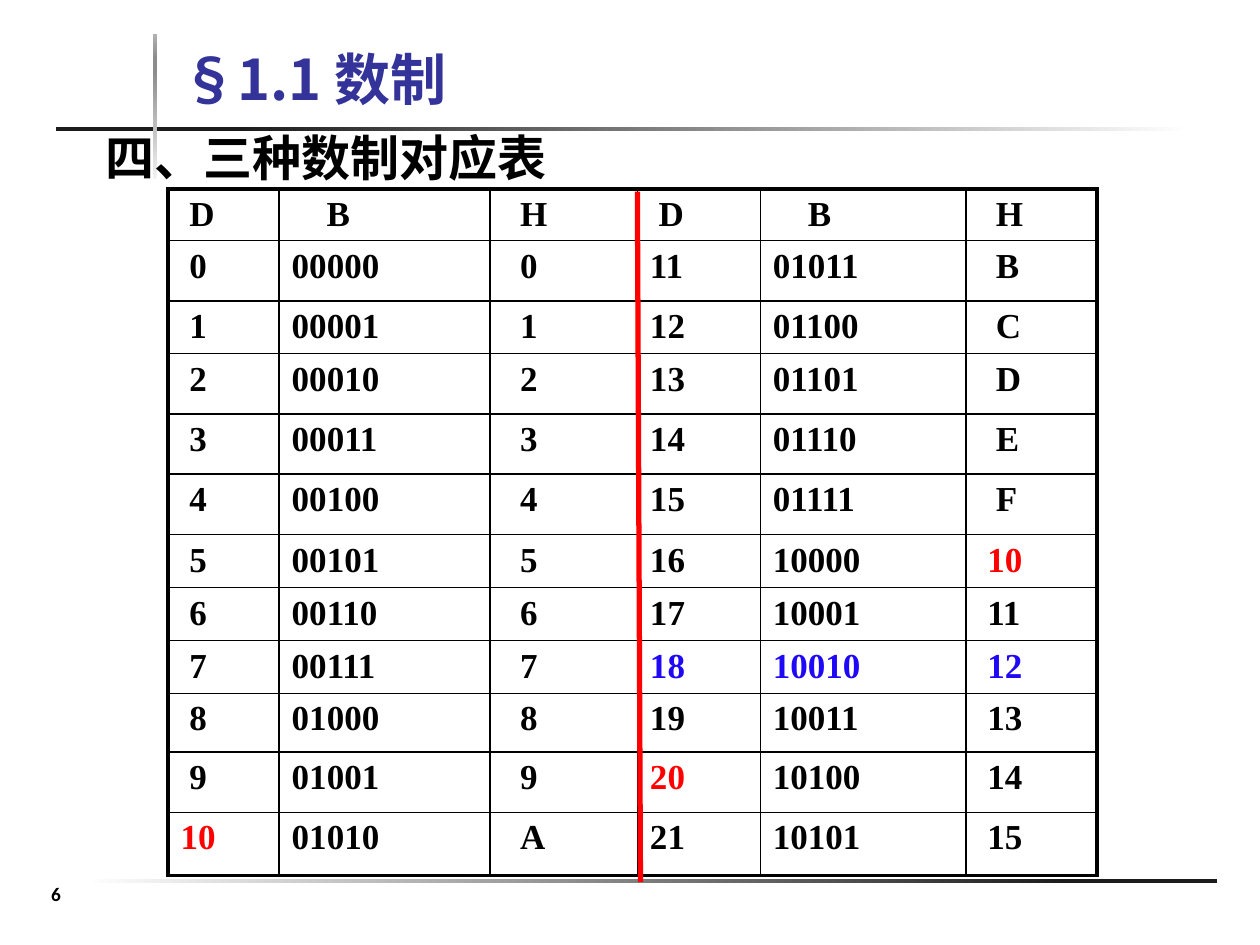
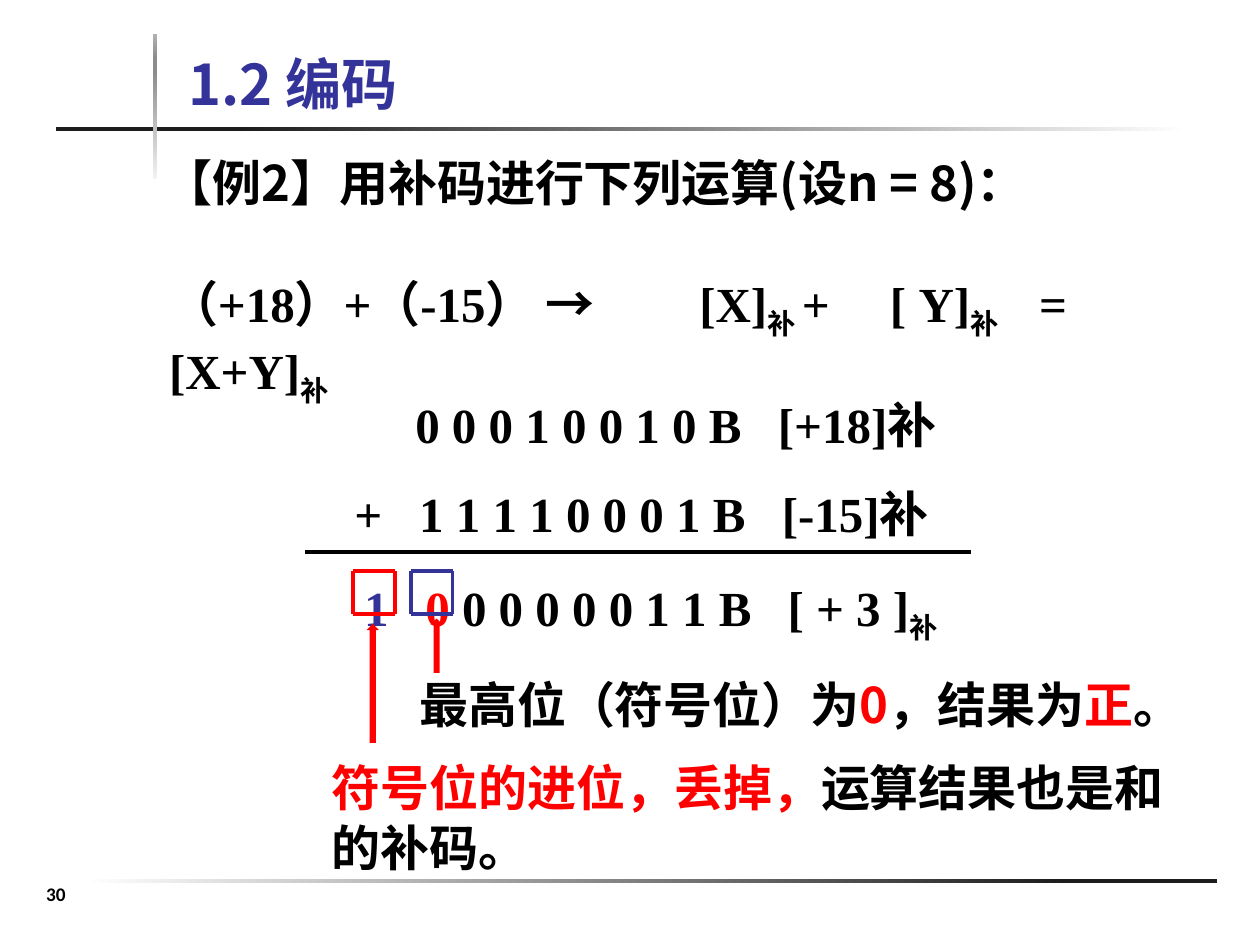
from lxml.etree import SubElement
from pptx import Presentation
from pptx.dml.color import RGBColor
from pptx.enum.shapes import MSO_CONNECTOR, MSO_SHAPE
from pptx.enum.text import MSO_ANCHOR, PP_ALIGN
from pptx.oxml.ns import qn
from pptx.util import Pt

COLORS = {
    "black": "000000", "white": "FFFFFF", "title": "333399", "red": "FF0000",
    "blue": "1F08F8", "ink": "1C1C1C", "pale": "F2F2F2", "grey": "8C8C8C",
    "silver": "B2B2B2",
}
SANS, SERIF = "Noto Sans CJK SC", "Times New Roman"
NOTE_SPACING = 34


def rgb(name):
    return RGBColor.from_string(COLORS[name])


def add_run(paragraph, text, color="black", size=28, font=SANS, bold=True, subscript=False):
    run = paragraph.add_run()
    run.text = text
    run.font.size = Pt(size)
    run.font.bold = bold
    run.font.color.rgb = rgb(color)
    run.font.name = font
    properties = run.font._element
    SubElement(properties, qn("a:ea")).set("typeface", SANS)
    if subscript:
        properties.set("baseline", "-25000")


def add_tabs(paragraph, stops):
    tab_list = SubElement(paragraph._p.get_or_add_pPr(), qn("a:tabLst"))
    for stop in stops:
        SubElement(tab_list, qn("a:tab"), pos=str(Pt(stop)), algn="l")


def add_text_frame(slide, box, anchor=MSO_ANCHOR.TOP):
    frame = slide.shapes.add_textbox(*map(Pt, box)).text_frame
    frame.word_wrap = True
    frame.vertical_anchor = anchor
    return frame


def add_note(slide, box, runs):
    """One paragraph from (text, color, font) runs."""
    paragraph = add_text_frame(slide, box).paragraphs[0]
    paragraph.line_spacing = Pt(NOTE_SPACING)
    for text, color, font in runs:
        add_run(paragraph, text, color, font=font)


def add_line(slide, start, end, color, width):
    line = slide.shapes.add_connector(
        MSO_CONNECTOR.STRAIGHT, *map(Pt, start + end))
    line.line.color.rgb = rgb(color)
    line.line.width = Pt(width)
    SubElement(line._element.spPr, qn("a:effectLst"))


def add_plain_shape(slide, kind, box):
    shape = slide.shapes.add_shape(kind, *map(Pt, box))
    shape.shadow.inherit = False
    shape.line.fill.background()
    return shape


def add_gradient_bar(slide, box, stops, angle):
    bar = add_plain_shape(slide, MSO_SHAPE.RECTANGLE, box)
    bar.fill.gradient()
    bar.fill.gradient_angle = 0
    gradient = bar._element.spPr.find(qn("a:gradFill"))
    stop_list = gradient.find(qn("a:gsLst"))
    for stop in list(stop_list):
        stop_list.remove(stop)
    for position, color in stops:
        stop = SubElement(stop_list, qn("a:gs"), pos=str(position * 1000))
        SubElement(stop, qn("a:srgbClr"), val=COLORS[color])
    gradient.find(qn("a:lin")).set("ang", str(angle * 60000))


def add_base_slide(presentation, title, title_box, number):
    """Rules, title and page number shared by every slide."""
    slide = presentation.slides.add_slide(presentation.slide_layouts[6])
    add_gradient_bar(slide, (47.5, 502.25, 648, 2.25), [(0, "white"), (87, "ink")], 0)
    add_gradient_bar(slide, (32, 72.5, 648, 2.25), [(16, "ink"), (100, "white")], 0)
    add_gradient_bar(slide, (87.25, 19.5, 2.25, 83),
                     [(0, "pale"), (74, "grey"), (83, "grey"), (100, "silver")], 270)
    frame = add_text_frame(slide, title_box, MSO_ANCHOR.BOTTOM)
    add_run(frame.paragraphs[0], title, "title", 32)
    paragraph = add_text_frame(slide, (0, 500.5, 64, 27)).paragraphs[0]
    paragraph.alignment = PP_ALIGN.CENTER
    add_run(paragraph, number, size=11, font="Calibri")
    return slide


def set_borders(cell, widths):
    properties = cell._tc.get_or_add_tcPr()
    for side, width in zip("LRTB", widths):
        border = SubElement(properties, qn(f"a:ln{side}"), w=str(Pt(width)))
        fill = SubElement(border, qn("a:solidFill"))
        SubElement(fill, qn("a:srgbClr"), val=COLORS["black"])


def add_number_table(slide, left, top):
    """Decimal, binary and hexadecimal: 0-10 on the left, 11-21 on the right."""
    column_widths = [63.5, 120.5, 84.25, 70.25, 117.5, 75]
    row_heights = [29.5, 34.5, 30, 34.5, 34.5, 34.5,
                   30.25, 30.25, 30.25, 33.5, 34.5, 36]
    highlights = {(6, 5): "red", (10, 3): "red", (11, 0): "red",
                  (8, 3): "blue", (8, 4): "blue", (8, 5): "blue"}
    digit_places = (2, 5, 3)

    def numerals(number):
        return [str(number), f"{number:05b}", f"{number:X}"]

    rows = [["D", "B", "H"] * 2]
    rows += [numerals(number) + numerals(number + 11) for number in range(11)]
    last_row, last_column = len(rows) - 1, len(column_widths) - 1

    table = slide.shapes.add_table(
        len(rows), len(column_widths), Pt(left), Pt(top),
        Pt(sum(column_widths)), Pt(sum(row_heights))).table
    table.first_row = table.horz_banding = False
    for column, width in zip(table.columns, column_widths):
        column.width = Pt(width)
    for row, height in zip(table.rows, row_heights):
        row.height = Pt(height)

    for r, row in enumerate(rows):
        for c, text in enumerate(row):
            cell = table.cell(r, c)
            # Shorter numerals start further in, one space per missing place
            cell.margin_left = Pt(7.2 + 5 * (digit_places[c % 3] - len(text)))
            cell.margin_bottom = Pt(1)
            outer_edges = (c == 0, c == last_column, r == 0, r == last_row)
            set_borders(cell, [2.25 if outer else 1 for outer in outer_edges])
            cell.fill.background()
            add_run(cell.text_frame.paragraphs[0], text,
                    highlights.get((r, c), "black"), 20, SERIF)

    # Divider between the two halves
    middle = left + sum(column_widths[:3])
    add_line(slide, (middle, top + 1.5), (middle + 1.75, top + 396), "red", 3)


def add_equation(slide, box):
    paragraph = add_text_frame(slide, box).paragraphs[0]
    add_tabs(paragraph, (303, 412, 497.25))
    paragraph.line_spacing = Pt(38.5)
    for text, subscript in [("（+18）+（-15） →\t[X]", False), ("补 ", True),
                            ("+\t[ Y]", False), ("补", True),
                            ("\t= [X+Y]", False), ("补", True)]:
        add_run(paragraph, text, font=SERIF, subscript=subscript)


def add_bit_frame(slide, left, top, width, height, color):
    """Four lines around one bit."""
    right, bottom = left + width, top + height
    corners = [(left, top), (right, top), (right, bottom), (left, bottom)]
    for start, end in zip(corners, corners[1:] + corners[:1]):
        add_line(slide, start, end, color, 2.25)


def add_binary_sum(slide, box):
    """Column addition with its rule, framed bits and arrows."""
    left, top = box[:2]
    rows = [
        ((143.25, 350.5), 0, [("\t0 0 0 1 0 0 1 0 B\t[+18]补", "black", False)]),
        ((108.5, 145.5, 352.75), 0,
         [("\t+\t1 1 1 1 0 0 0 1 B\t[-15]补", "black", False)]),
        ((114, 149, 356), 7, [
            ("\t1\t", "title", False), ("0 ", "red", False),
            ("0 0 0 0 0 1 1 B\t[ + 3 ]", "black", False), ("补", "black", True)]),
    ]
    frame = add_text_frame(slide, box)
    for index, (stops, space_before, runs) in enumerate(rows):
        paragraph = frame.add_paragraph() if index else frame.paragraphs[0]
        add_tabs(paragraph, stops)
        paragraph.line_spacing = Pt(51)
        if space_before:
            paragraph.space_before = Pt(space_before)
        for text, color, subscript in runs:
            add_run(paragraph, text, color, font=SERIF, subscript=subscript)

    # Rule above the result
    add_line(slide, (left + 87.25, top + 111), (left + 468, top + 111), "black", 2.25)

    # Frames for the carry and the sign bit
    for offset, color in ((114.6, "red"), (147.6, "title")):
        add_bit_frame(slide, left + offset, top + 122, 24, 24.5, color)

    # Arrows from the two remarks
    for offset, drop, height in ((159, 149, 31), (122.5, 152, 68)):
        arrow = add_plain_shape(
            slide, MSO_SHAPE.UP_ARROW, (left + offset, top + drop, 7, height))
        arrow.fill.solid()
        arrow.fill.fore_color.rgb = rgb("red")


def build_number_systems(presentation):
    slide = add_base_slide(presentation, "§1.1 数制", (96.5, 19.5, 358, 48), "6")
    add_number_table(slide, 96, 108)
    add_note(slide, (53.5, 69, 451, 41),
             [("四、", "black", SANS), ("三种数制对应表", "black", "Cabin")])


def build_complement_example(presentation):
    slide = add_base_slide(presentation, "1.2 编码", (100.5, 24.5, 548, 46), "30")
    add_note(slide, (86.5, 83, 618, 41),
             [("【", "black", SERIF), ("例2", "black", SANS), ("】", "black", SERIF),
              ("用补码进行下列运算(设n = 8)：", "black", SANS)])
    add_equation(slide, (89.5, 152.25, 591, 82))
    add_binary_sum(slide, (87, 204.5, 571, 167))
    add_note(slide, (232.5, 381.5, 450, 38),
             [("最高位（符号位）为", "black", SANS), ("0", "red", SANS),
              ("，结果为", "black", SANS), ("正", "red", SANS), ("。", "black", SANS)])
    add_note(slide, (182.5, 429, 495, 75),
             [("符号位的进位，丢掉，", "red", SANS),
              ("运算结果也是和的补码。", "black", SANS)])


def main():
    presentation = Presentation()
    presentation.slide_width, presentation.slide_height = Pt(720), Pt(540)
    build_number_systems(presentation)
    build_complement_example(presentation)
    presentation.save("out.pptx")


if __name__ == "__main__":
    main()
